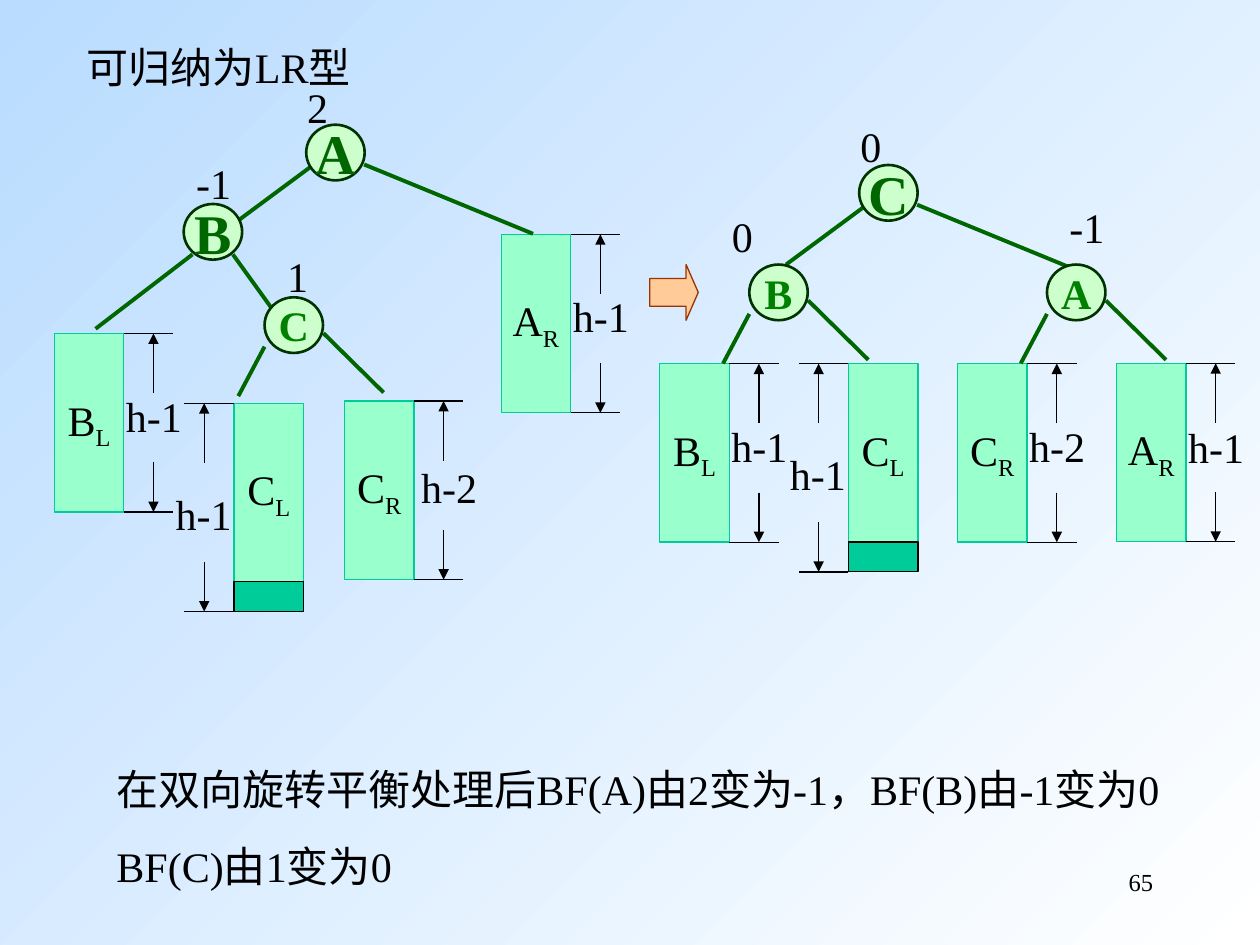
from dataclasses import dataclass

from lxml.etree import SubElement
from pptx import Presentation
from pptx.dml.color import RGBColor
from pptx.enum.shapes import MSO_CONNECTOR, MSO_SHAPE
from pptx.enum.text import MSO_ANCHOR, MSO_AUTO_SIZE, PP_ALIGN
from pptx.oxml.ns import qn
from pptx.shapes.autoshape import Shape
from pptx.slide import Slide
from pptx.text.text import TextFrame
from pptx.util import Pt


@dataclass(frozen=True)
class Theme:
    font: str = "Times New Roman"
    body: int = 24
    big: int = 32
    small: int = 14
    text: str = "000000"
    sky: str = "B9DCFF"
    white: str = "FFFFFF"
    node_fill: str = "CCFFCC"
    node_line: str = "003300"
    node_text: str = "008000"
    edge: str = "006600"
    bar_fill: str = "99FFCC"
    bar_line: str = "00CC99"
    arrow_fill: str = "FFCC99"
    arrow_line: str = "993300"


@dataclass(frozen=True)
class Node:
    name: str
    left: float
    top: float
    factor: str
    factor_left: float
    factor_top: float
    edges: tuple
    big: bool = False


@dataclass(frozen=True)
class Subtree:
    name: str
    side: str
    left: float
    top: float
    height: str
    label_dx: float = 33.8
    label_dy: float = 28.8
    grown: bool = False


T = Theme()
NODE_W, NODE_H = 33.4, 31.8
BAR_W, BAR_H, GROWN_H = 39.7, 102, 17
TICK, ARROW_GAP, ARROW_DOWN, ARROW_UP = 28.3, 17, 28.3, 34
LABEL_W, LABEL_H = 48, 36

# Child edges as x1, y1, x2, y2 from the node's top left corner
ROOT = ((2.9, 23.8, -41.8, 56.9), (33.1, 22.7, 129.6, 62.3))
MIDDLE = ((5, 28.8, -50.4, 71.3), (28.1, 28.8, 50.4, 59.8))
LEAF = ((0, 28.2, -15, 56.5), (33.6, 20.5, 68, 54.4))

NODES = [
    Node("A", 175, 71.3, "2", 168.5, 43.2, ROOT, True),
    Node("B", 105, 116.6, "-1", 105, 86.4, MIDDLE, True),
    Node("C", 151.2, 169.9, "1", 157, 139.7, LEAF),
    Node("C", 491, 94.3, "0", 484.6, 65.5, ROOT, True),
    Node("B", 428.2, 151.2, "0", 411.1, 116.6, LEAF),
    Node("A", 598.3, 151.2, "-1", 604, 111.6, LEAF),
]
SUBTREES = [
    Subtree("B", "L", 31, 190.6, "h-1"),
    Subtree("C", "L", 133.7, 230.4, "h-1", -40.5, 45.2, True),
    Subtree("C", "R", 196.8, 229.2, "h-2", 36.7, 30.9),
    Subtree("A", "R", 286.4, 133.9, "h-1"),
    Subtree("B", "L", 377, 207.8, "h-1"),
    Subtree("C", "L", 484.8, 207.8, "h-1", -40.5, 45.2, True),
    Subtree("C", "R", 547.2, 207.8, "h-2"),
    Subtree("A", "R", 638, 207.6, "h-1", label_dy=30),
]


def format_text(tf: TextFrame, size: int = T.body, color: str = T.text,
                bold: bool = False, align: PP_ALIGN = PP_ALIGN.LEFT) -> None:
    for p in tf.paragraphs:
        p.alignment = align
        for r in p.runs:
            r.font.name, r.font.size, r.font.bold = T.font, Pt(size), bold
            r.font.color.rgb = RGBColor.from_string(color)


def add_box(s: Slide, kind: MSO_SHAPE, left: float, top: float, width: float,
            height: float, fill: str, line: str, weight: float = 0.75) -> Shape:
    sp = s.shapes.add_shape(kind, Pt(left), Pt(top), Pt(width), Pt(height))
    sp.shadow.inherit = False
    sp.fill.solid()
    sp.fill.fore_color.rgb = RGBColor.from_string(fill)
    sp.line.color.rgb = RGBColor.from_string(line)
    sp.line.width = Pt(weight)
    sp.text_frame.word_wrap = False
    sp.text_frame.vertical_anchor = MSO_ANCHOR.MIDDLE
    return sp


def add_text(s: Slide, text: str, left: float, top: float, width: float,
             height: float = LABEL_H, size: int = T.body,
             align: PP_ALIGN = PP_ALIGN.LEFT) -> TextFrame:
    tf = s.shapes.add_textbox(Pt(left), Pt(top), Pt(width), Pt(height)).text_frame
    tf.word_wrap = True
    tf.text = text
    format_text(tf, size, align=align)
    return tf


def add_line(s: Slide, x1: float, y1: float, x2: float, y2: float,
             color: str = T.text, weight: float = 0.75, arrow: bool = False) -> None:
    line = s.shapes.add_connector(MSO_CONNECTOR.STRAIGHT, Pt(x1), Pt(y1), Pt(x2), Pt(y2))
    line.line.color.rgb = RGBColor.from_string(color)
    line.line.width = Pt(weight)
    props = line._element.spPr
    if arrow:
        SubElement(props.find(qn("a:ln")), qn("a:tailEnd"), type="triangle")
    SubElement(props, qn("a:effectLst"))


def add_subtree(s: Slide, tree: Subtree) -> None:
    """Draw a subtree bar with the ticks and arrows that measure its height."""
    sp = add_box(s, MSO_SHAPE.RECTANGLE, tree.left, tree.top, BAR_W, BAR_H,
                 T.bar_fill, T.bar_line)
    p = sp.text_frame.paragraphs[0]
    p.text = tree.name
    r = p.add_run()
    r.text = tree.side
    format_text(sp.text_frame, align=PP_ALIGN.CENTER)
    r._r.get_or_add_rPr().set("baseline", "-25000")

    bottom = tree.top + BAR_H
    edge, direction = tree.left + BAR_W, 1
    if tree.grown:
        add_box(s, MSO_SHAPE.RECTANGLE, tree.left, bottom, BAR_W, GROWN_H,
                T.bar_line, T.text)
        bottom += GROWN_H
        edge, direction = tree.left, -1
    for y in (tree.top, bottom):
        add_line(s, edge, y, edge + direction * TICK, y)
    x = edge + direction * ARROW_GAP
    add_line(s, x, tree.top + ARROW_UP, x, tree.top, arrow=True)
    add_line(s, x, bottom - ARROW_DOWN, x, bottom, arrow=True)


def add_node(s: Slide, node: Node) -> None:
    sp = add_box(s, MSO_SHAPE.OVAL, node.left, node.top, NODE_W, NODE_H,
                 T.node_fill, T.node_line, 1.5)
    sp.text_frame.text = node.name
    size, color = (T.big, T.edge) if node.big else (T.body, T.node_text)
    format_text(sp.text_frame, size, color, True, PP_ALIGN.CENTER)
    add_text(s, node.factor, node.factor_left, node.factor_top, 45)


def add_title(s: Slide, text: str) -> None:
    title = s.shapes.title
    title.left, title.top, title.width, title.height = Pt(42.5), Pt(20.2), Pt(215), Pt(36)
    tf = title.text_frame
    tf.text = text
    tf.auto_size = MSO_AUTO_SIZE.NONE
    tf.vertical_anchor = MSO_ANCHOR.TOP
    format_text(tf)


def main() -> None:
    prs = Presentation()
    prs.slide_width, prs.slide_height = Pt(720), Pt(540)
    s = prs.slides.add_slide(prs.slide_layouts[5])
    fill = s.background.fill
    fill.gradient()
    fill.gradient_angle = 315
    for stop, color in zip(fill.gradient_stops, (T.sky, T.white)):
        stop.color.rgb = RGBColor.from_string(color)

    add_title(s, "可归纳为LR型")
    for tree in SUBTREES:
        add_subtree(s, tree)
    # Edges lie behind the nodes, which hide their ends
    for node in NODES:
        for x1, y1, x2, y2 in node.edges:
            add_line(s, node.left + x1, node.top + y1, node.left + x2, node.top + y2,
                     T.edge, 2.25)
    for node in NODES:
        add_node(s, node)
    for tree in SUBTREES:
        add_text(s, tree.height, tree.left + tree.label_dx, tree.top + tree.label_dy, LABEL_W)
    arrow = add_box(s, MSO_SHAPE.RIGHT_ARROW, 371.3, 151.2, 27.7, 31.8,
                    T.arrow_fill, T.arrow_line)
    arrow.adjustments[0], arrow.adjustments[1] = 0.5, 0.25

    tf = add_text(s, "在双向旋转平衡处理后BF(A)由2变为-1，BF(B)由-1变为0\nBF(C)由1变为0",
                  59.5, 432.7, 618, 107.3)
    tf.paragraphs[1].space_before = Pt(15)
    add_text(s, "65", 516.2, 491.8, 149.8, size=T.small, align=PP_ALIGN.RIGHT)
    prs.save("out.pptx")


if __name__ == "__main__":
    main()
